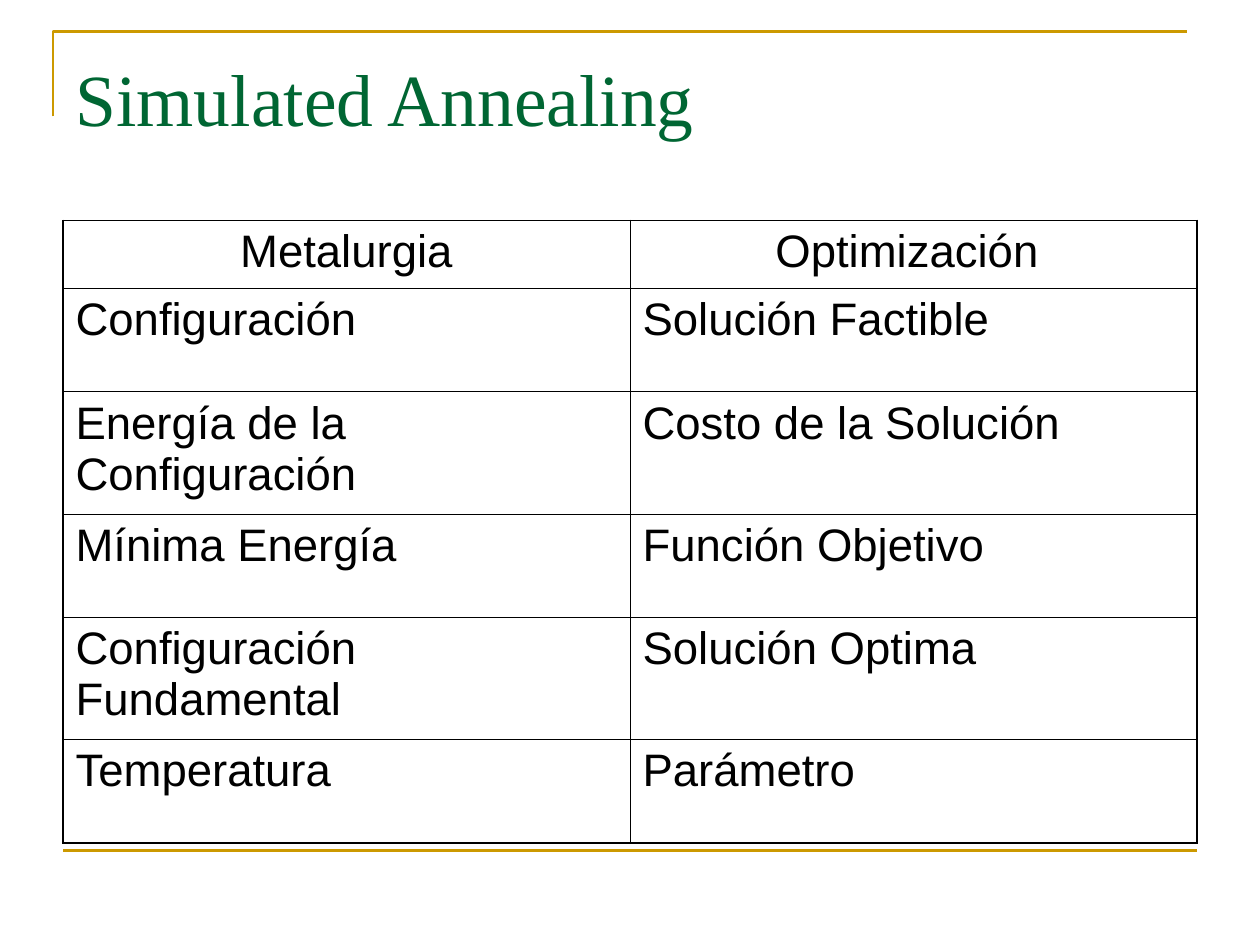
"""Build the Simulated Annealing slide comparing metallurgy with optimization."""
from dataclasses import dataclass
from typing import NamedTuple

from lxml.etree import SubElement
from pptx import Presentation
from pptx.dml.color import RGBColor
from pptx.enum.shapes import MSO_CONNECTOR
from pptx.enum.text import MSO_ANCHOR, MSO_AUTO_SIZE, PP_ALIGN
from pptx.oxml.ns import qn
from pptx.util import Emu, Inches, Pt


@dataclass(frozen=True)
class Theme:
    """Colours, fonts, type sizes and line widths of the slide."""
    accent: str = "CC9900"
    heading: str = "006633"
    ink: str = "000000"
    paper: str = "FFFFFF"
    heading_font: str = "Times New Roman"
    body_font: str = "Arial"
    heading_size: float = 42
    body_size: float = 26
    rule_width: float = 1.5
    outer_border: float = 1.08
    inner_border: float = 0.45


class Analogy(NamedTuple):
    """One table row: a metallurgy term, its counterpart and the row height."""
    metallurgy: str
    optimization: str
    height: float


THEME = Theme()
WIDTH, HEIGHT = Inches(10), Inches(7.5)
MARGIN = 0.05
CONTENT = 1 - 2 * MARGIN
SHORT_ROW, TALL_ROW = 0.82, 0.97
ANALOGIES = [
    Analogy("Metalurgia", "Optimización ", 0.54),
    Analogy("Configuración", "Solución Factible", SHORT_ROW),
    Analogy("Energía de la Configuración", "Costo de la Solución", TALL_ROW),
    Analogy("Mínima Energía", "Función Objetivo", SHORT_ROW),
    Analogy("Configuración Fundamental", "Solución Optima", TALL_ROW),
    Analogy("Temperatura", "Parámetro", SHORT_ROW),
]


def across(share: float) -> Emu:
    """Turn a share of the slide width into a length."""
    return Emu(round(WIDTH * share))


def down(share: float) -> Emu:
    """Turn a share of the slide height into a length."""
    return Emu(round(HEIGHT * share))


def write(frame, text: str, *, font: str, size: float, color: str,
          align: PP_ALIGN = PP_ALIGN.LEFT) -> None:
    """Write one formatted paragraph into a text frame."""
    paragraph = frame.paragraphs[0]
    paragraph.alignment = align
    run = paragraph.add_run()
    run.text = text
    run.font.name = font
    run.font.size = Pt(size)
    run.font.color.rgb = RGBColor.from_string(color)


def style_rule(rule) -> None:
    """Give a decorative rule the accent colour and width."""
    rule.line.color.rgb = RGBColor.from_string(THEME.accent)
    rule.line.width = Pt(THEME.rule_width)


def draw_rules(slide) -> None:
    """Draw the corner bracket above the title and the rule below the table."""
    left, top = across(0.042), down(0.033)
    builder = slide.shapes.build_freeform(left, down(0.123))
    builder.add_line_segments([(left, top), (across(0.942), top)], close=False)
    bracket = builder.convert_to_shape()
    bracket.shadow.inherit = False
    bracket.fill.background()
    style_rule(bracket)

    footer = slide.shapes.add_connector(
        MSO_CONNECTOR.STRAIGHT, across(MARGIN), down(0.9), across(1 - MARGIN), down(0.9))
    style_rule(footer)
    SubElement(footer._element.spPr, qn("a:effectLst"))


def draw_title(slide, text: str) -> None:
    """Place and format the title placeholder."""
    title = slide.shapes.title
    title.left, title.top = across(MARGIN), down(0.04)
    title.width, title.height = across(CONTENT), Inches(1.25)
    frame = title.text_frame
    frame.auto_size = MSO_AUTO_SIZE.NONE
    frame.vertical_anchor = MSO_ANCHOR.TOP
    frame.margin_top = Inches(0.12)
    write(frame, text, font=THEME.heading_font, size=THEME.heading_size, color=THEME.heading)


def add_border(cell, side: str, width: float) -> None:
    """Add a solid border to one side of a cell."""
    line = SubElement(cell._tc.get_or_add_tcPr(), qn(f"a:ln{side}"), w=str(Pt(width)))
    SubElement(SubElement(line, qn("a:solidFill")), qn("a:srgbClr"), val=THEME.ink)


def draw_table(slide, analogies: list[Analogy]) -> None:
    """Draw the two-column table with a heavier outer frame."""
    total = Inches(sum(analogy.height for analogy in analogies))
    table = slide.shapes.add_table(
        len(analogies), 2, across(MARGIN), Inches(1.75), across(CONTENT), total).table
    last = len(analogies) - 1
    for row, analogy in enumerate(analogies):
        table.rows[row].height = Inches(analogy.height)
        for column, term in enumerate((analogy.metallurgy, analogy.optimization)):
            cell = table.cell(row, column)
            outer_sides = {"L": column == 0, "R": column == 1, "T": row == 0, "B": row == last}
            for side, is_outer in outer_sides.items():
                add_border(cell, side, THEME.outer_border if is_outer else THEME.inner_border)
            cell.fill.background()
            write(cell.text_frame, term, font=THEME.body_font, size=THEME.body_size,
                  color=THEME.ink, align=PP_ALIGN.LEFT if row else PP_ALIGN.CENTER)


def main() -> None:
    """Assemble and save the slide."""
    presentation = Presentation()
    presentation.slide_width, presentation.slide_height = WIDTH, HEIGHT
    slide = presentation.slides.add_slide(presentation.slide_layouts[5])
    slide.background.fill.solid()
    slide.background.fill.fore_color.rgb = RGBColor.from_string(THEME.paper)
    draw_rules(slide)
    draw_title(slide, "Simulated Annealing")
    draw_table(slide, ANALOGIES)
    presentation.save("out.pptx")


if __name__ == "__main__":
    main()
